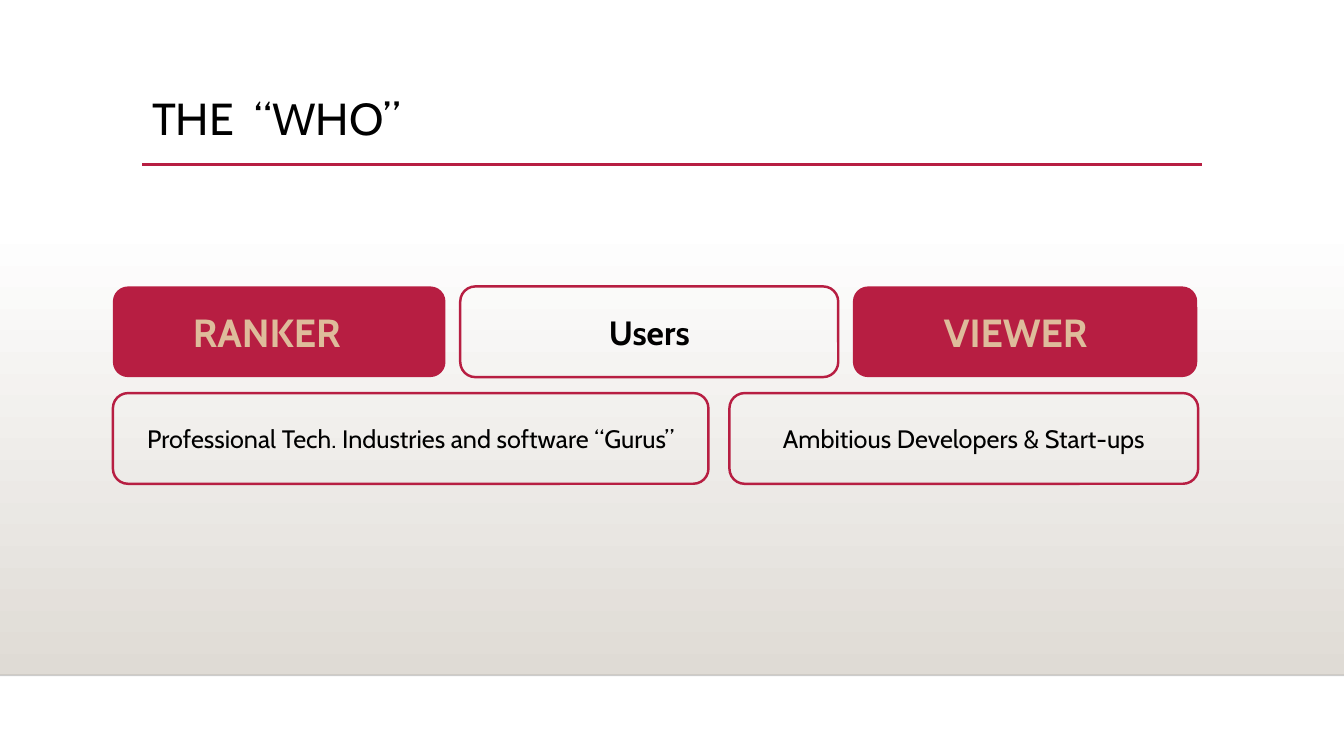
from lxml.etree import SubElement
from pptx import Presentation
from pptx.dml.color import RGBColor
from pptx.enum.shapes import MSO_CONNECTOR, MSO_SHAPE
from pptx.enum.text import MSO_ANCHOR, PP_ALIGN
from pptx.oxml.ns import qn
from pptx.util import Inches, Pt

CRIMSON = RGBColor(0xB7, 0x1E, 0x42)
TAN = RGBColor(0xDE, 0xBC, 0x9B)
STONE = RGBColor(0xDF, 0xDB, 0xD5)
WHITE = RGBColor(0xFF, 0xFF, 0xFF)
BLACK = RGBColor(0x00, 0x00, 0x00)

FONT = "Cabin"
COLS, ROWS = 160, 90


def write(tf, text, size=18, color=BLACK, bold=False, align=PP_ALIGN.CENTER, spacing=1.0):
    tf.word_wrap = True
    tf.vertical_anchor = MSO_ANCHOR.MIDDLE
    p = tf.paragraphs[0]
    p.alignment = align
    p.line_spacing = spacing
    r = p.add_run()
    r.text = text
    r.font.name = FONT
    r.font.size = Pt(size)
    r.font.bold = bold
    r.font.color.rgb = color


class Deck:
    def __init__(self, prs):
        self.slide = prs.slides.add_slide(prs.slide_layouts[6])
        self.col = prs.slide_width / COLS
        self.row = prs.slide_height / ROWS

    def place(self, x, y, w, h):
        return int(x * self.col), int(y * self.row), int(w * self.col), int(h * self.row)

    def shape(self, kind, *box):
        sp = self.slide.shapes.add_shape(kind, *self.place(*box))
        sp.shadow.inherit = False
        return sp

    def floor(self, *box):
        sp = self.shape(MSO_SHAPE.RECTANGLE, *box)
        sp.line.fill.background()
        sp.fill.gradient()
        sp.fill.gradient_angle = 270
        for stop, color in zip(sp.fill.gradient_stops, (WHITE, STONE)):
            stop.color.rgb = color

    def rule(self, x, y, w, color, width, alpha=100):
        left, top, length, _ = self.place(x, y, w, 0)
        line = self.slide.shapes.add_connector(MSO_CONNECTOR.STRAIGHT, left, top, left + length, top)
        line.line.color.rgb = color
        line.line.width = Pt(width)
        if alpha < 100:
            clr = line.line._ln.find(".//" + qn("a:srgbClr"))
            SubElement(clr, qn("a:alpha")).set("val", str(alpha * 1000))
        SubElement(line._element.spPr, qn("a:effectLst"))

    def title(self, text, *box):
        sp = self.slide.shapes.add_textbox(*self.place(*box))
        write(sp.text_frame, text, size=32, align=PP_ALIGN.LEFT, spacing=0.9)

    def card(self, text, *box, solid=False, pad=1.2, **fmt):
        sp = self.shape(MSO_SHAPE.ROUNDED_RECTANGLE, *box)
        if solid:
            sp.fill.solid()
            sp.fill.fore_color.rgb = CRIMSON
            sp.line.fill.background()
            fmt.update(size=28, color=TAN, bold=True, align=PP_ALIGN.LEFT)
        else:
            sp.fill.background()
            sp.line.color.rgb = CRIMSON
            sp.line.width = Pt(1.75)
        write(sp.text_frame, text, **fmt)
        sp.text_frame.margin_left = int(pad * self.col)

    def card_row(self, y, gap, cards):
        x = 13.44
        for text, w, fmt in cards:
            self.card(text, x, y, w, 10.8, **fmt)
            x += w + gap


prs = Presentation()
prs.slide_width, prs.slide_height = Inches(13.33), Inches(7.5)
s = Deck(prs)

s.floor(0, 26.52, COLS, 53.88)
s.rule(0, 80.4, COLS, BLACK, 1, alpha=20)
s.rule(16.92, 19.56, 126.12, CRIMSON, 2.5)
s.title("THE  “WHO”", 16.92, 10.44, 126.12, 7.92)

s.card_row(34.1, 1.75, [
    ("RANKER", 39.6, dict(solid=True, pad=9)),
    ("Users", 45, dict(size=24, bold=True)),
    ("VIEWER", 41, dict(solid=True, pad=10.3)),
])
s.card_row(46.8, 2.5, [
    ("Professional Tech. Industries and software “Gurus”", 70.9, {}),
    ("Ambitious Developers & Start-ups", 55.8, {}),
])

prs.save("out.pptx")
